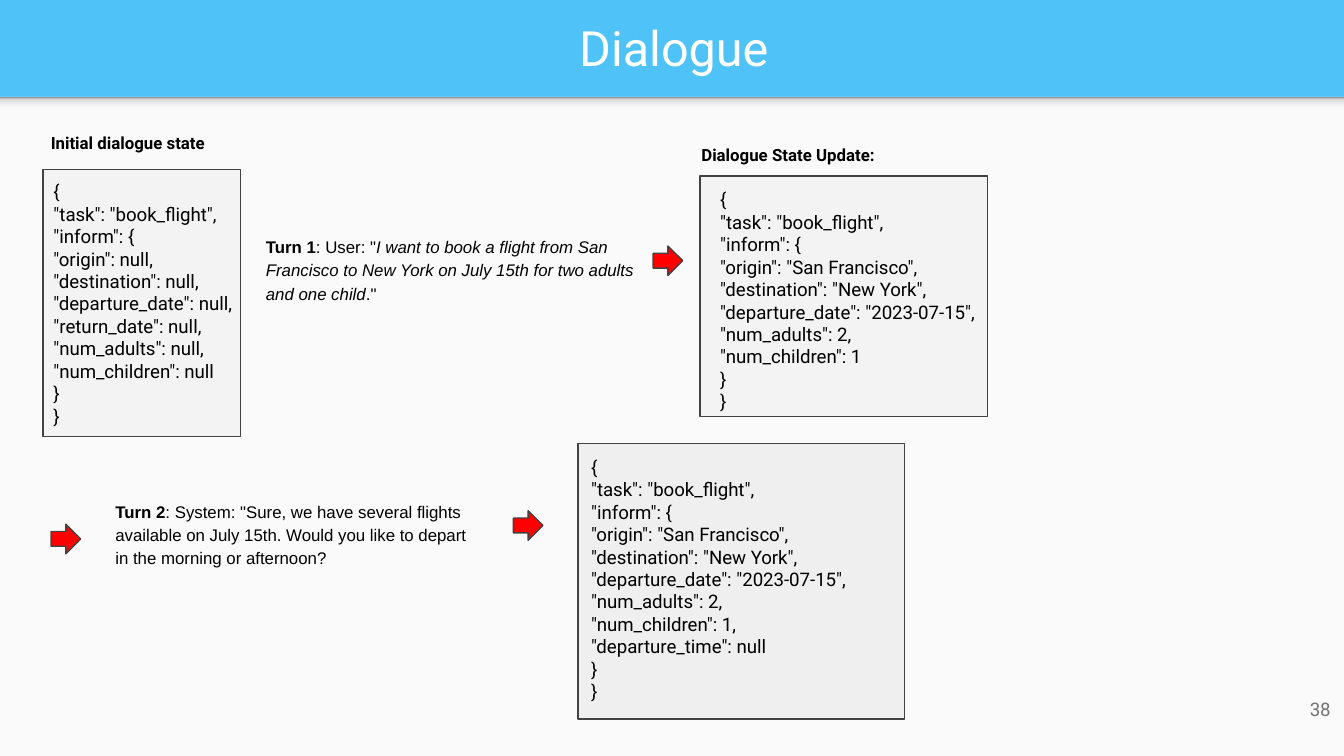
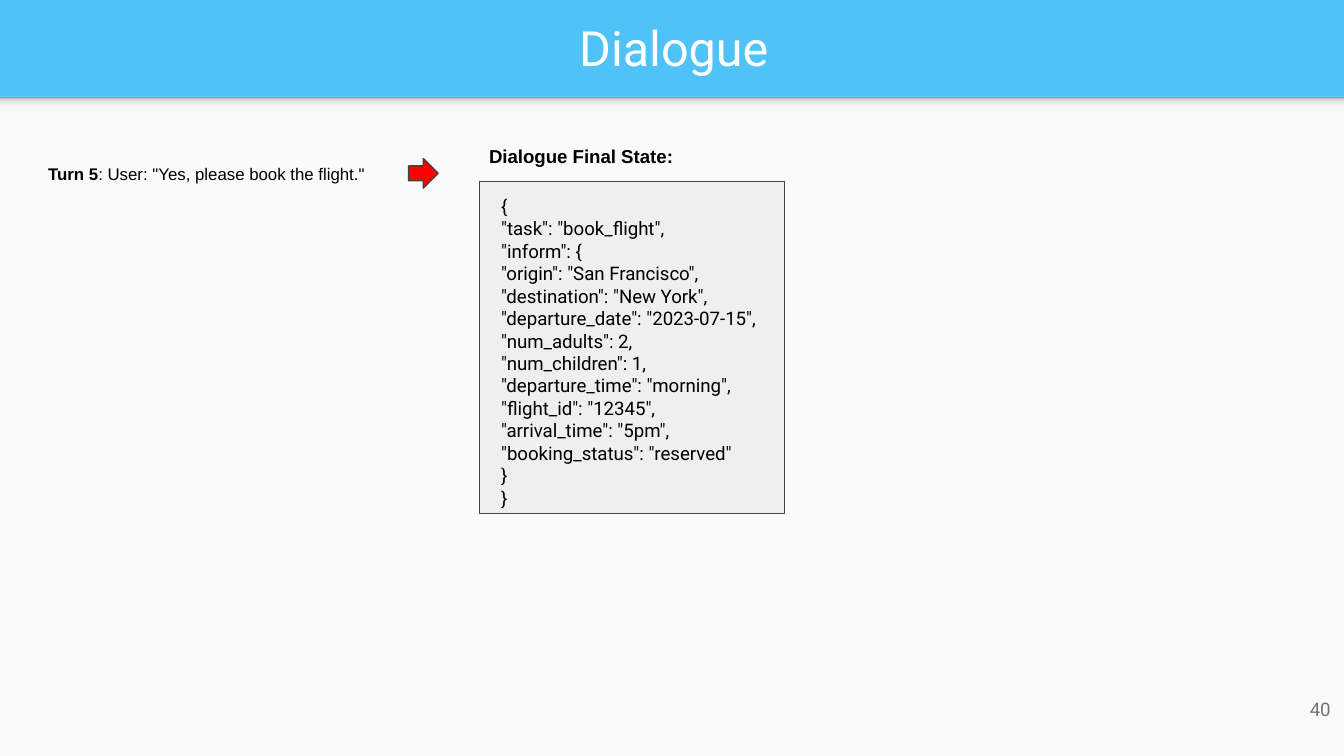
from lxml import etree
from pptx import Presentation
from pptx.dml.color import RGBColor as RGB
from pptx.enum.shapes import MSO_SHAPE as Shape
from pptx.enum.text import MSO_ANCHOR as Anchor, MSO_AUTO_SIZE as Auto, PP_ALIGN as Align
from pptx.oxml.ns import qn
from pptx.util import Inches, Pt

hues = {
    "sky": "4FC3F7", "paper": "FAFAFA", "white": "FFFFFF", "black": "000000",
    "edge": "424242", "red": "FF0000", "gray": "737373", "pale": "F3F3F3", "dim": "EFEFEF",
}
shade = [(0, "F9F9F9"), (36, "F9F9F9"), (80, "DEDEDE"), (100, "999999")]


def draw(slide, kind, box, fill, line=None):
    shape = slide.shapes.add_shape(kind, *map(Inches, box))
    shape.shadow.inherit = False
    shape.fill.solid()
    shape.fill.fore_color.rgb = RGB.from_string(hues[fill])
    if line:
        shape.line.color.rgb = RGB.from_string(hues[line])
        shape.line.width = Pt(0.75)
    else:
        shape.line.fill.background()
    return shape


def write(shape, rows, size, face="Roboto", hue="black", align=Align.LEFT, anchor=Anchor.TOP, space=None):
    frame = shape.text_frame
    frame.word_wrap = True
    frame.auto_size = Auto.NONE
    frame.vertical_anchor = anchor
    frame.margin_left = frame.margin_right = Inches(0.1)
    frame.margin_top = frame.margin_bottom = Inches(0.1)
    for i, row in enumerate(rows):
        para = frame.add_paragraph() if i else frame.paragraphs[0]
        para.alignment = align
        para.line_spacing = space
        para.font.size = Pt(size)
        para.font.name = face
        para.font.color.rgb = RGB.from_string(hues[hue])
        for text, style in row:
            run = para.add_run()
            run.text = text
            if style == "b":
                run.font.bold = True
            if style == "i":
                run.font.italic = True


start = ["{", '"task": "book_flight",', '"inform": {']
trip = ['"origin": "San Francisco",', '"destination": "New York",', '"departure_date": "2023-07-15",',
        '"num_adults": 2,']
close = ["}", "}"]
blank = ['"origin": null,', '"destination": null,', '"departure_date": null,', '"return_date": null,',
         '"num_adults": null,', '"num_children": null']
final = ['"num_children": 1,', '"departure_time": "morning",', '"flight_id": "12345",',
         '"arrival_time": "5pm",', '"booking_status": "reserved"']

pages = [
    {
        "num": "38",
        "states": [
            ((4.3, 3.3, 2.43, 2.05), "dim", (4.3, 3.29, 2.43, 2.05),
             trip + ['"num_children": 1,', '"departure_time": null']),
            ((5.21, 1.31, 2.14, 1.79), "pale", (5.26, 1.3, 2.14, 1.89), trip + ['"num_children": 1']),
            ((0.32, 1.26, 1.47, 1.99), "pale", (0.3, 1.24, 1.64, 2.05), blank),
        ],
        "heads": [
            ((0.28, 0.89, 2.43, 0.35), "Initial dialogue state", 9, "Roboto"),
            ((5.12, 0.98, 3.28, 0.35), "Dialogue State Update:", 9, "Roboto"),
        ],
        "turns": [
            ((1.88, 1.64, 3.12, 0.7), 1.15, [
                ("Turn 1", "b"), (': User: "', ""),
                ("I want to book a flight from San Francisco to New York on July 15th "
                 "for two adults and one child", "i"), ('."', "")]),
            ((0.76, 3.61, 2.81, 0.7), 1.15, [
                ("Turn 2", "b"),
                (': System: "Sure, we have several flights available on July 15th. '
                 "Would you like to depart in the morning or afternoon?", "")]),
        ],
        "arrows": [(4.86, 1.83), (0.38, 3.9), (3.82, 3.8)],
    },
    {
        "num": "40",
        "states": [((3.57, 1.35, 2.27, 2.47), "dim", (3.63, 1.35, 3.28, 2.56), trip + final)],
        "heads": [((3.54, 0.98, 1.72, 0.54), "Dialogue Final State:", 10, "Arial")],
        "turns": [
            ((0.26, 1.12, 3.28, 0.35), None,
             [("Turn 5", "b"), (': User: "Yes, please book the flight."', "")]),
        ],
        "arrows": [(3.04, 1.18)],
    },
]

deck = Presentation()
deck.slide_width, deck.slide_height = Inches(10), Inches(5.625)

for page in pages:
    slide = deck.slides.add_slide(deck.slide_layouts[5])
    slide.background.fill.solid()
    slide.background.fill.fore_color.rgb = RGB.from_string(hues["sky"])

    draw(slide, Shape.RECTANGLE, (0, 0.72, 10, 4.91), "paper")
    band = draw(slide, Shape.RECTANGLE, (0, 0.72, 10, 0.12), "paper")
    band.fill.gradient()
    band.fill.gradient_angle = 90
    stops = band.element.spPr.find(qn("a:gradFill")).find(qn("a:gsLst"))
    for stop in list(stops):
        stops.remove(stop)
    for place, tone in shade:
        stop = etree.SubElement(stops, qn("a:gs"), pos=str(place * 1000))
        etree.SubElement(stop, qn("a:srgbClr"), val=tone)

    title = slide.shapes.title
    title.left, title.top, title.width, title.height = map(Inches, (0.19, 0.02, 9.65, 0.66))
    write(title, [[("Dialogue", "")]], 26, hue="white", align=Align.CENTER, anchor=Anchor.MIDDLE)

    for frame, fill, box, items in page["states"]:
        draw(slide, Shape.RECTANGLE, frame, fill, "edge")
        label = slide.shapes.add_textbox(*map(Inches, box))
        write(label, [[(item, "")] for item in start + items + close], 10)

    for box, text, size, face in page["heads"]:
        write(slide.shapes.add_textbox(*map(Inches, box)), [[(text, "b")]], size, face)

    for box, space, runs in page["turns"]:
        write(slide.shapes.add_textbox(*map(Inches, box)), [runs], 9, "Arial", space=space)

    for left, top in page["arrows"]:
        draw(slide, Shape.RIGHT_ARROW, (left, top, 0.22, 0.22), "red", "edge")

    foot = slide.shapes.add_textbox(*map(Inches, (9.4, 5.06, 0.6, 0.43)))
    write(foot, [[(page["num"], "")]], 10, hue="gray", align=Align.RIGHT, anchor=Anchor.MIDDLE)

deck.save("out.pptx")
